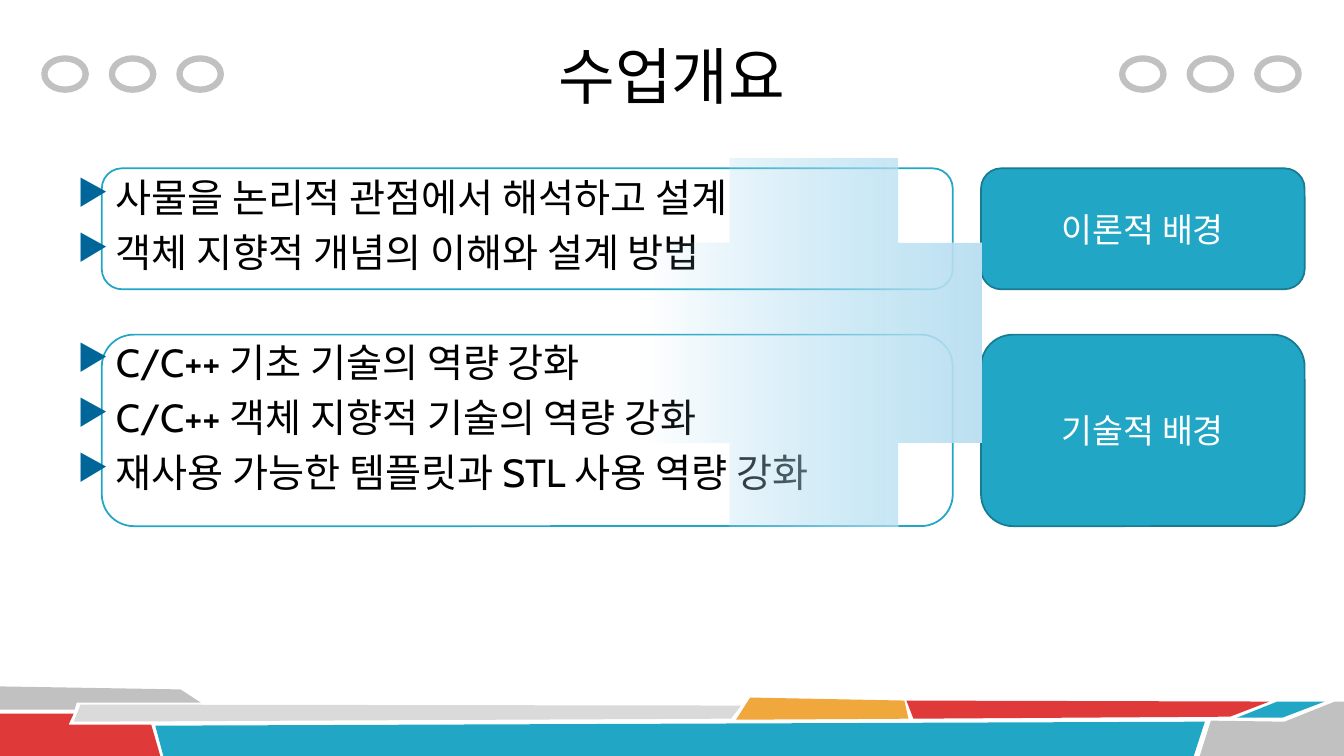
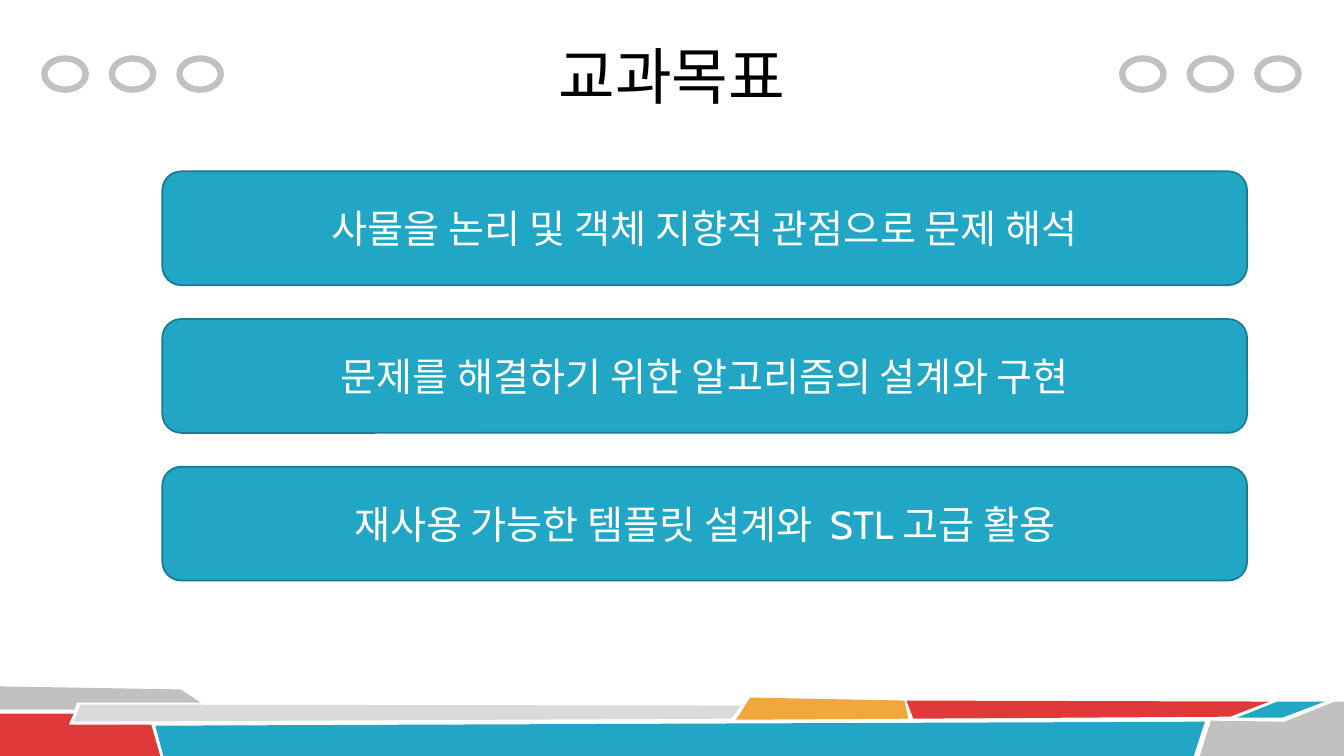
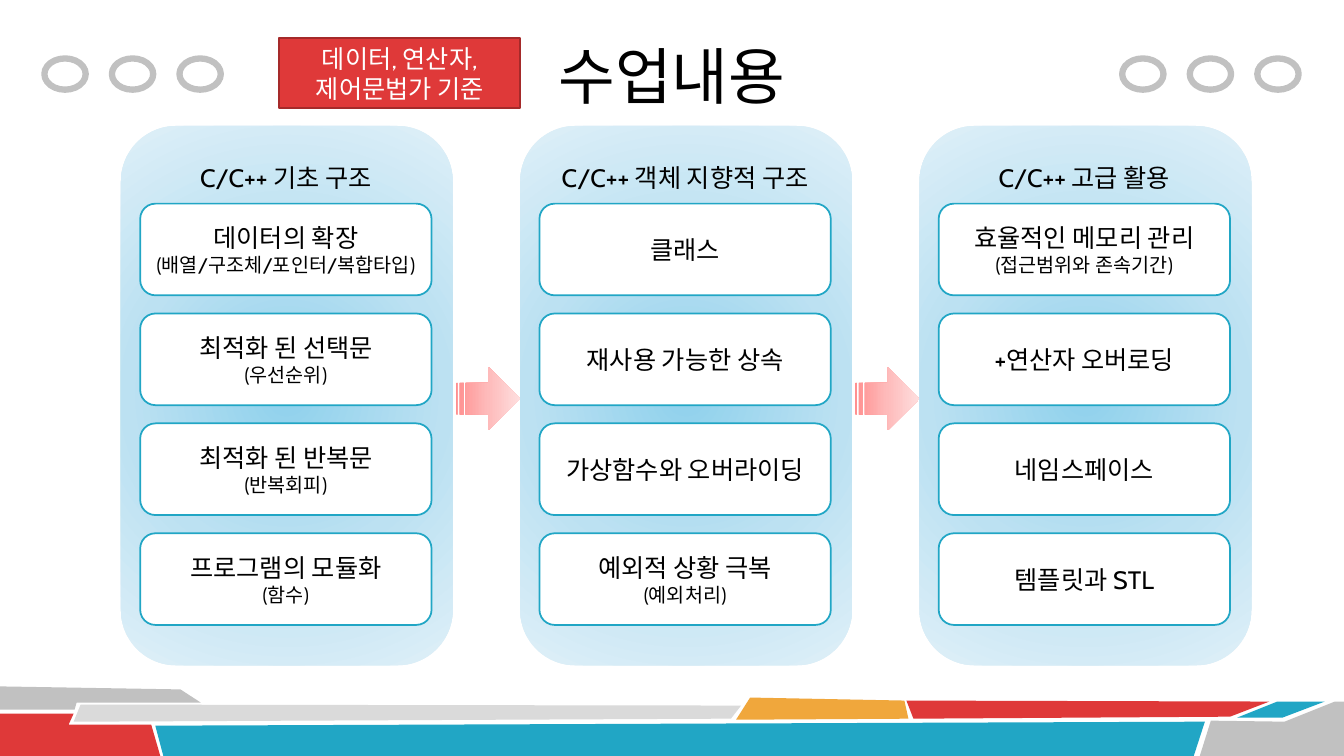
"""Build three course-introduction slides with a shared ring header and ribbon footer."""
from dataclasses import dataclass
from typing import Any, NamedTuple, Optional

import lxml.etree
import pptx
import pptx.dml.color
import pptx.enum.shapes
import pptx.enum.text
import pptx.oxml
import pptx.oxml.ns
import pptx.util

Inches = pptx.util.Inches
Pt = pptx.util.Pt
Preset = pptx.enum.shapes.MSO_SHAPE
Align = pptx.enum.text.PP_ALIGN
Anchor = pptx.enum.text.MSO_ANCHOR


@dataclass(frozen=True)
class Theme:
    teal: str = "21A6C5"
    teal_edge: str = "187B92"
    red: str = "DF3939"
    red_edge: str = "A52A2A"
    amber: str = "F0A73C"
    gray: str = "C1C1C1"
    light_gray: str = "DADADA"
    bullet: str = "006699"
    white: str = "FFFFFF"
    black: str = "000000"
    title_font: str = "Calibri"
    body_font: str = "Cabin"
    title_size: float = 44
    body_size: float = 28
    label_size: float = 24
    topic_size: float = 18
    note_size: float = 14
    edge_width: float = 1.25
    ring_width: float = 4.5


THEME = Theme()


class Box(NamedTuple):
    left: float
    top: float
    width: float
    height: float


class Style(NamedTuple):
    fill: Optional[str] = None
    line: Optional[str] = None
    line_width: float = THEME.edge_width


class Line(NamedTuple):
    text: str
    size: float
    color: str = THEME.black
    font: str = THEME.body_font


class Stop(NamedTuple):
    position: int
    color: str
    alpha: int = 100


class Ribbon(NamedTuple):
    color: str
    points: list[tuple[float, float]]


class Topic(NamedTuple):
    name: str
    note: str = ""


class Column(NamedTuple):
    heading: str
    topics: list[Topic]


SOLID = Style(THEME.teal, THEME.teal_edge)
OUTLINED = Style(THEME.white, THEME.teal)
RING = Style(None, THEME.gray, THEME.ring_width)
TITLE_BOX = Box(2.33, 0.12, 8.67, 1.25)

RIBBONS = [
    Ribbon(THEME.gray, [(0, 6.81), (1.79, 6.84), (1.99, 6.97), (0.76, 6.97), (0.74, 7.04), (0, 7.04)]),
    Ribbon(THEME.red, [(0, 7.08), (0.73, 7.08), (0.68, 7.19), (1.5, 7.19), (1.59, 7.5), (0, 7.5)]),
    Ribbon(THEME.light_gray, [(0.8, 6.99), (7.35, 7), (7.25, 7.13), (0.73, 7.16)]),
    Ribbon(THEME.teal, [(1.54, 7.2), (11.95, 7.16), (11.84, 7.5), (1.62, 7.5)]),
    Ribbon(THEME.amber, [(7.44, 6.92), (8.97, 6.95), (9.01, 7.13), (7.3, 7.14)]),
    Ribbon(THEME.red, [(8.99, 6.95), (12.59, 6.96), (12.2, 7.11), (9.06, 7.13)]),
    Ribbon(THEME.teal, [(12.67, 6.96), (13.14, 6.96), (12.72, 7.12), (12.27, 7.12)]),
    Ribbon(THEME.gray, [(12.01, 7.15), (12.74, 7.16), (13.24, 6.96), (13.33, 6.96), (13.33, 7.5), (11.9, 7.5)]),
]

PLUS_STOPS = [Stop(0, "A0D8EF", 0), Stop(100, "BCE1F2"), Stop(100, "DFF0F8")]
PANEL_STOPS = [Stop(0, "8FD1EC"), Stop(50, "BCE1F2"), Stop(100, "DFF0F8")]
ARROW_STOPS = [Stop(0, "FF8F8F"), Stop(50, "FEBBBB"), Stop(100, "FEDEDE")]

OVERVIEW_GROUPS = [
    ["사물을 논리적 관점에서 해석하고 설계", "객체 지향적 개념의 이해와 설계 방법"],
    ["C/C++ 기초 기술의 역량 강화", "C/C++ 객체 지향적 기술의 역량 강화", "재사용 가능한 템플릿과 STL 사용 역량 강화"],
]
GOALS = [
    "사물을 논리 및 객체 지향적 관점으로 문제 해석",
    "문제를 해결하기 위한 알고리즘의 설계와 구현",
    "재사용 가능한 템플릿 설계와  STL 고급 활용",
]
COLUMNS = [
    Column("C/C++ 기초 구조", [
        Topic("데이터의 확장", "(배열/구조체/포인터/복합타입)"),
        Topic("최적화 된 선택문", "(우선순위)"),
        Topic("최적화 된 반복문", "(반복회피)"),
        Topic("프로그램의 모듈화", "(함수)"),
    ]),
    Column("C/C++ 객체 지향적 구조", [
        Topic("클래스"),
        Topic("재사용 가능한 상속"),
        Topic("가상함수와 오버라이딩"),
        Topic("예외적 상황 극복", "(예외처리)"),
    ]),
    Column("C/C++ 고급 활용", [
        Topic("효율적인 메모리 관리", "(접근범위와 존속기간)"),
        Topic("+연산자 오버로딩"),
        Topic("네임스페이스"),
        Topic("템플릿과 STL"),
    ]),
]


def rgb(color: str) -> Any:
    return pptx.dml.color.RGBColor.from_string(color)


def apply_format(target: Any, values: dict[str, Any]) -> None:
    for name, value in values.items():
        setattr(target, name, value)


def paint(shape: Any, style: Style) -> None:
    shape.shadow.inherit = False
    if style.fill:
        shape.fill.solid()
        shape.fill.fore_color.rgb = rgb(style.fill)
    else:
        shape.fill.background()
    if style.line:
        shape.line.color.rgb = rgb(style.line)
        shape.line.width = Pt(style.line_width)
    else:
        shape.line.fill.background()


def write_line(paragraph: Any, line: Line, values: dict[str, Any]) -> None:
    paragraph.text = line.text
    apply_format(paragraph, values)
    apply_format(paragraph.font, {"size": Pt(line.size), "name": line.font})
    paragraph.font.color.rgb = rgb(line.color)


def write_centred(shape: Any, lines: list[Line]) -> None:
    frame = shape.text_frame
    apply_format(frame, {"word_wrap": True, "vertical_anchor": Anchor.MIDDLE})
    for index, line in enumerate(lines):
        paragraph = frame.add_paragraph() if index else frame.paragraphs[0]
        write_line(paragraph, line, {"alignment": Align.CENTER})


def add_box(slide: Any, preset: Any, box: Box, style: Style, *lines: Line) -> Any:
    shape = slide.shapes.add_shape(preset, *map(Inches, box))
    paint(shape, style)
    if lines:
        write_centred(shape, list(lines))
    return shape


def add_gradient_box(slide: Any, preset: Any, box: Box, stops: list[Stop], radial: bool = False) -> None:
    shape = add_box(slide, preset, box, Style())
    colors = "".join(
        f'<a:gs pos="{stop.position * 1000}"><a:srgbClr val="{stop.color}">'
        f'<a:alpha val="{stop.alpha * 1000}"/></a:srgbClr></a:gs>'
        for stop in stops
    )
    direction = '<a:lin ang="0" scaled="0"/>'
    if radial:
        direction = '<a:path path="circle"><a:fillToRect l="50000" t="50000" r="50000" b="50000"/></a:path>'
    gradient = pptx.oxml.parse_xml(
        f'<a:gradFill {pptx.oxml.ns.nsdecls("a")} rotWithShape="1">'
        f"<a:gsLst>{colors}</a:gsLst>{direction}</a:gradFill>"
    )
    properties = shape.element.spPr
    properties.replace(properties.find(pptx.oxml.ns.qn("a:noFill")), gradient)


def add_bullet(paragraph: Any, indent: float) -> None:
    properties = paragraph._p.get_or_add_pPr()
    properties.set("marL", str(Inches(indent)))
    properties.set("indent", str(-Inches(indent)))
    qualify = pptx.oxml.ns.qn
    color = lxml.etree.SubElement(properties, qualify("a:buClr"))
    lxml.etree.SubElement(color, qualify("a:srgbClr"), val=THEME.bullet)
    lxml.etree.SubElement(properties, qualify("a:buSzPct"), val="90000")
    lxml.etree.SubElement(properties, qualify("a:buChar"), char="▶")


def add_bullet_groups(slide: Any, box: Box, groups: list[list[str]]) -> None:
    line_gap, group_gap = Pt(5.6), Pt(45)
    frame = slide.shapes.add_textbox(*map(Inches, box)).text_frame
    frame.word_wrap = True
    for group_index, group in enumerate(groups):
        for index, text in enumerate(group):
            first = group_index == index == 0
            paragraph = frame.paragraphs[0] if first else frame.add_paragraph()
            gap = 0 if first else line_gap if index else group_gap
            add_bullet(paragraph, 0.38)
            write_line(paragraph, Line(text, THEME.body_size), {"space_before": gap})


def add_ribbon(slide: Any, ribbon: Ribbon) -> None:
    start, *rest = [(Inches(x), Inches(y)) for x, y in ribbon.points]
    builder = slide.shapes.build_freeform(*start)
    builder.add_line_segments(rest, close=True)
    paint(builder.convert_to_shape(), Style(ribbon.color))


def add_base_slide(presentation: Any) -> Any:
    slide = presentation.slides.add_slide(presentation.slide_layouts[6])
    for ribbon in RIBBONS:
        add_ribbon(slide, ribbon)
    for group_left in (0.44, 11.13):
        for index in range(3):
            add_box(slide, Preset.OVAL, Box(group_left + 0.67 * index, 0.58, 0.41, 0.31), RING)
    return slide


def add_title(slide: Any, text: str) -> None:
    title = slide.shapes.add_textbox(*map(Inches, TITLE_BOX))
    write_centred(title, [Line(text, THEME.title_size, font=THEME.title_font)])


def build_overview(presentation: Any) -> None:
    slide = add_base_slide(presentation)
    rows = [("이론적 배경", 1.67, 1.2), ("기술적 배경", 3.32, 1.9)]
    for _, top, height in rows:
        add_box(slide, Preset.ROUNDED_RECTANGLE, Box(1.01, top, 8.44, height), OUTLINED)
    add_bullet_groups(slide, Box(0.67, 1.67, 12, 5.03), OVERVIEW_GROUPS)
    add_title(slide, "수업개요")
    for name, top, height in rows:
        label = Line(name, THEME.label_size, THEME.white)
        add_box(slide, Preset.ROUNDED_RECTANGLE, Box(9.73, top, 3.21, height), SOLID, label)
    add_gradient_box(slide, Preset.CROSS, Box(6.4, 1.57, 3.33, 3.65), PLUS_STOPS)


def build_goals(presentation: Any) -> None:
    slide = add_base_slide(presentation)
    add_title(slide, "교과목표")
    for index, goal in enumerate(GOALS):
        box = Box(1.61, 1.7 + 1.465 * index, 10.76, 1.13)
        add_box(slide, Preset.ROUNDED_RECTANGLE, box, SOLID, Line(goal, THEME.body_size, THEME.white))


def add_column(slide: Any, column: Column, left: float) -> None:
    card_left, card_width = left + 0.19, 2.89
    add_gradient_box(slide, Preset.ROUNDED_RECTANGLE, Box(left, 1.25, 3.29, 5.35), PANEL_STOPS, radial=True)
    heading = Line(column.heading, THEME.topic_size)
    add_box(slide, Preset.ROUNDED_RECTANGLE, Box(card_left, 1.47, card_width, 0.59), Style(), heading)
    for index, topic in enumerate(column.topics):
        lines = [Line(topic.name, THEME.topic_size)]
        if topic.note:
            lines.append(Line(topic.note, THEME.note_size))
        box = Box(card_left, 2.02 + 1.09 * index, card_width, 0.91)
        add_box(slide, Preset.ROUNDED_RECTANGLE, box, OUTLINED, *lines)


def build_contents(presentation: Any) -> None:
    slide = add_base_slide(presentation)
    add_title(slide, "수업내용")
    for index, column in enumerate(COLUMNS):
        left = 1.2 + 3.96 * index
        add_column(slide, column, left)
        if index < len(COLUMNS) - 1:
            arrow = Box(left + 3.32, 3.64, 0.64, 0.63)
            add_gradient_box(slide, Preset.STRIPED_RIGHT_ARROW, arrow, ARROW_STOPS)
    criteria = [Line(text, THEME.topic_size, THEME.white) for text in ("데이터, 연산자,", "제어문법가 기준")]
    add_box(slide, Preset.RECTANGLE, Box(2.77, 0.38, 2.39, 0.69), Style(THEME.red, THEME.red_edge), *criteria)


def main() -> None:
    presentation = pptx.Presentation()
    apply_format(presentation, {"slide_width": Inches(13.33), "slide_height": Inches(7.5)})
    for build in (build_overview, build_goals, build_contents):
        build(presentation)
    presentation.save("out.pptx")


if __name__ == "__main__":
    main()
